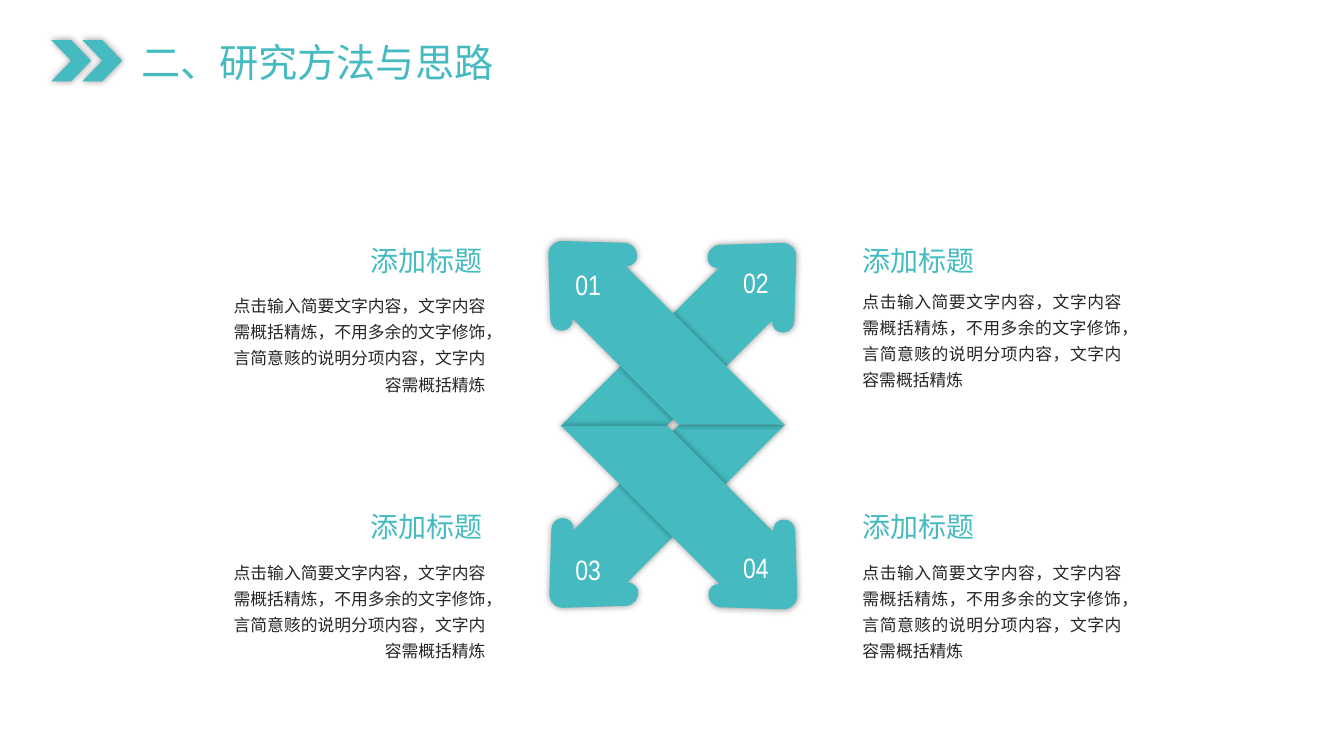
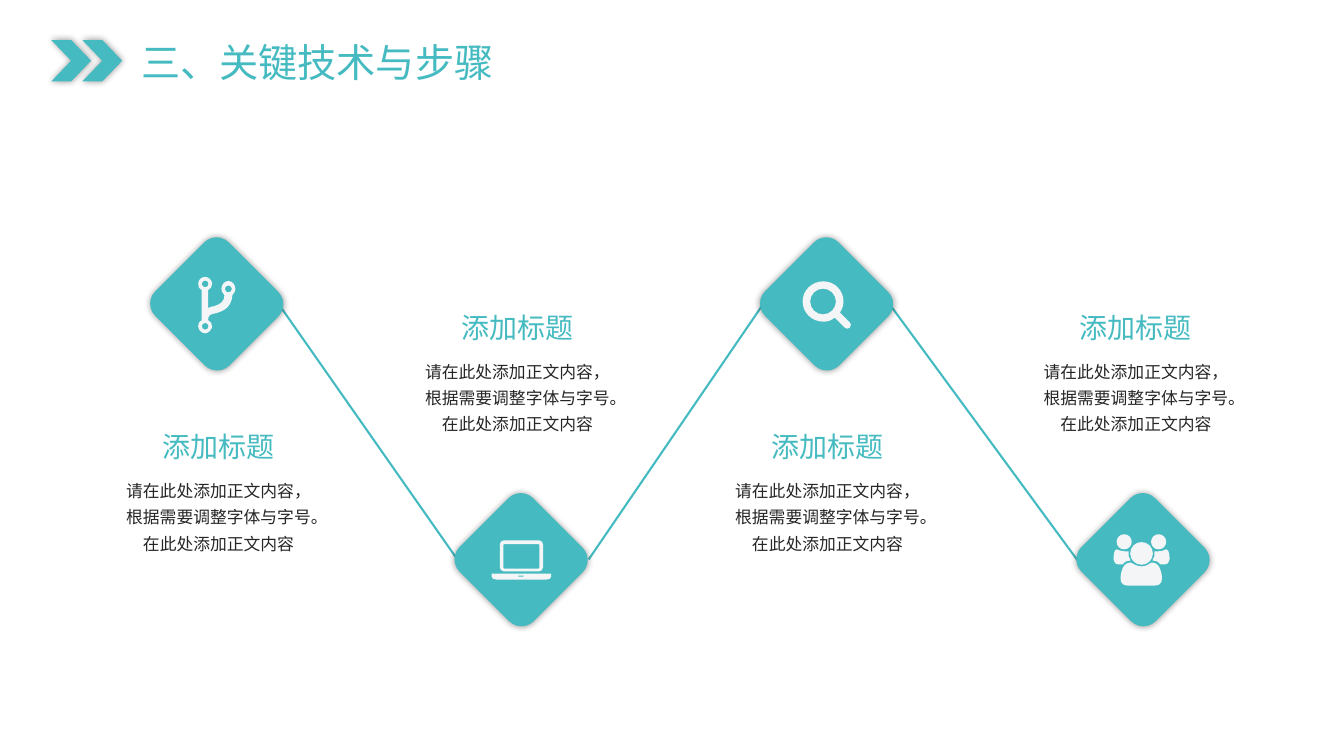
"""Build two slides on research methods and key steps."""

import math
from dataclasses import dataclass

import lxml.etree
import pptx
import pptx.dml.color
import pptx.enum.shapes
import pptx.enum.text
import pptx.oxml.ns
import pptx.presentation
import pptx.shapes.autoshape
import pptx.slide
import pptx.text.text
import pptx.util

Pt = pptx.util.Pt
RGBColor = pptx.dml.color.RGBColor
Preset = pptx.enum.shapes.MSO_SHAPE
Align = pptx.enum.text.PP_ALIGN
AutoSize = pptx.enum.text.MSO_AUTO_SIZE
Slide = pptx.slide.Slide
Point = tuple[float, float]
Segment = tuple[str, list[Point]]
qn = pptx.oxml.ns.qn

TEAL = RGBColor(0x45, 0xBB, 0xC1)
INK = RGBColor(0x26, 0x26, 0x26)
WHITE = RGBColor(0xFF, 0xFF, 0xFF)
ICON = RGBColor(0xF4, 0xF5, 0xF7)

HEADING_FONT = "Noto Sans CJK JP"
BODY_FONT = "Noto Sans CJK SC"
NUMBER_FONT = "Arial Narrow"

HEADING = "添加标题"
METHOD_BODY = "点击输入简要文字内容，文字内容需概括精炼，不用多余的文字修饰，言简意赅的说明分项内容，文字内容需概括精炼"
STEP_BODY = "请在此处添加正文内容，根据需要调整字体与字号。在此处添加正文内容"

ARC_RATIO = 0.55
VALUE_COUNTS = {"M": 2, "L": 2, "C": 6, "O": 3, "R": 5}

ARROW = (
    "M 9.4 0 L 54 1.4 L 55.4 1.4 C 59.8 2.2 63.4 5.8 63.4 10.1 "
    "C 64.1 14.4 60.5 18 56.2 18 L 55.4 18 L 168.5 131 L 92.9 131 "
    "L 17.3 55.4 L 17.3 56.2 C 17.3 60.5 14.4 64.1 9.4 64.1 "
    "C 5 64.1 1.4 60.5 1.4 55.4 L 1.4 54 L 0 10.1 "
    "C 0 7.2 0.7 5 2.9 2.9 C 4.3 1.4 7.2 0 9.4 0"
)
BRANCH = (
    "M 24.5 13 C 23.8 22.3 17.3 24.5 13 25.9 C 8.6 26.6 7.2 27.4 7.2 30.2 "
    "L 7.2 31 C 8.6 31.7 10 33.1 10 35.3 C 10 37.5 7.2 40.3 5 40.3 "
    "C 2.2 40.3 0 37.5 0 35.3 C 0 33.1 0.7 31.7 2.5 31 L 2.5 9.4 "
    "C 0.7 8.6 0 7.2 0 5 C 0 2.2 2.2 0 5 0 C 7.2 0 10 2.2 10 5 "
    "C 10 7.2 8.6 8.6 7.2 9.4 L 7.2 22.3 C 8.6 21.6 10 20.9 11.5 20.9 "
    "C 15.8 19.4 18.7 18 18.7 13 C 17.3 11.5 16.6 10.1 16.6 8.6 "
    "C 16.6 5.8 18.7 2.9 21.6 2.9 C 24.5 2.9 26.6 5.8 26.6 8.6 "
    "C 26.6 10.1 25.9 11.5 24.5 13 O 5 5 2.4 O 5 35.3 2.4 O 21.6 8.6 2.5"
)
LAPTOP = (
    "M 42.5 23.8 L 42.5 25.9 C 42.5 27.4 41 28.1 38.9 28.1 L 3.6 28.1 "
    "C 1.4 28.1 0 27.4 0 25.9 L 0 23.8 "
    "R 5.8 0 30.9 22.3 3 R 8.3 2.7 25.8 17.5 0.6 R 18.7 25.2 4.3 0.7 0.3"
)
MAGNIFIER = (
    "M 31.7 33.8 C 31 33.8 30.6 33.6 30.2 33.1 L 23 25.9 "
    "C 20.2 28.1 18 28.8 14.8 28.8 C 6.5 28.8 0 22.3 0 14.4 "
    "C 0 6.5 6.5 0 14.8 0 C 23 0 29.2 6.5 29.2 14.4 "
    "C 29.2 17.3 28.1 20.2 26.6 22.3 L 33.8 29.5 "
    "C 34.3 30 34.5 30.5 34.5 31 C 34.5 33.1 33.1 33.8 31.7 33.8 O 14.6 14.4 9.2"
)
TEAM = (
    "M 6.5 21.6 L 4.3 21.6 C 1.4 21.6 0 20.2 0 18 C 0 16.6 0 10.8 2.2 10.8 "
    "C 2.9 10.8 5 12.2 7.9 12.2 L 10.8 12.2 C 10.6 15.1 10.8 17.3 12.2 18.7 "
    "C 10.1 18.7 7.9 19.4 6.5 21.6 "
    "M 33.5 21.6 L 35.7 21.6 C 38.6 21.6 40 20.2 40 18 C 40 16.6 40 10.8 37.8 10.8 "
    "C 37.1 10.8 35 12.2 32.1 12.2 L 29.2 12.2 C 29.4 15.1 29.2 17.3 27.8 18.7 "
    "C 29.9 18.7 32.1 19.4 33.5 21.6 "
    "M 28.8 36.7 L 10.8 36.7 C 7.2 36.7 5 35.3 5 31.7 C 5 27.4 6.5 20.2 12.2 20.2 "
    "C 13 20.2 15.8 23 20 23 C 23.8 23 26.6 20.2 27.4 20.2 "
    "C 33.1 20.2 34.6 27.4 34.6 31.7 C 34.6 35.3 32.4 36.7 28.8 36.7 "
    "O 7.6 5.4 5.4 O 20 13.7 8.1 O 32.2 5.4 5.4"
)


@dataclass(frozen=True)
class TextStyle:
    """Look of one kind of paragraph."""

    font: str
    size: float
    color: RGBColor
    align: Align = Align.LEFT
    line_spacing: float | None = None
    space_after: float = 0


@dataclass(frozen=True)
class Arrow:
    """Numbered arrow placed by its outer corner."""

    number: str
    corner: Point
    flip: Point
    number_at: Point


@dataclass(frozen=True)
class Method:
    """Heading and description beside the arrows."""

    heading_at: Point
    body_at: Point
    align: Align


@dataclass(frozen=True)
class Step:
    """Diamond with an icon, a heading and a description."""

    diamond_at: Point
    icon: str
    icon_offset: Point
    heading_at: Point


TITLE_STYLE = TextStyle(HEADING_FONT, 28, TEAL)
HEADING_STYLE = TextStyle(HEADING_FONT, 20, TEAL)
STEP_HEADING_STYLE = TextStyle(HEADING_FONT, 20, TEAL, Align.CENTER)
STEP_BODY_STYLE = TextStyle(BODY_FONT, 12, INK, Align.CENTER, 1.3)
NUMBER_STYLE = TextStyle(NUMBER_FONT, 20, WHITE)

ARROWS = (
    Arrow("02", (568.8, 173.5), (-1, 1), (523.8, 185.8)),
    Arrow("03", (392.4, 434.2), (1, -1), (403.9, 391)),
    Arrow("01", (391.7, 172.1), (1, 1), (403.9, 187.5)),
    Arrow("04", (569.5, 435.2), (-1, -1), (523.8, 389.5)),
)
METHODS = (
    Method((257.8, 170.6), (154.6, 203.4), Align.RIGHT),
    Method((257.8, 360.7), (154.6, 394), Align.RIGHT),
    Method((609, 170.6), (609, 200.2), Align.JUSTIFY),
    Method((609, 360.7), (609, 394), Align.JUSTIFY),
)
STEPS = (
    Step((117.4, 180), BRANCH, (24.2, 17.8), (105, 303.3)),
    Step((334.8, 362.7), LAPTOP, (16.4, 23.2), (318.5, 218.2)),
    Step((553, 180), MAGNIFIER, (20.3, 21), (540, 303.3)),
    Step((779, 362.7), TEAM, (16.4, 18.9), (760.3, 218.2)),
)
LINKS = (
    ((198.7, 216.7), (326.2, 398.9)),
    ((635, 216.7), (769.7, 400.3)),
    ((545, 217.4), (420.5, 399.6)),
)


def rounded(left: float, top: float, width: float, height: float, radius: float) -> list[Segment]:
    """Return the outline of a rounded rectangle, or of a circle."""
    segments: list[Segment] = []
    bend = radius * ARC_RATIO
    inner_x, inner_y = width / 2 - radius, height / 2 - radius
    for ux, uy in ((1, 0), (0, 1), (-1, 0), (0, -1)):
        vx, vy = -uy, ux
        x = left + width / 2 + (ux + vx) * inner_x
        y = top + height / 2 + (uy + vy) * inner_y
        reach = ((radius, 0), (radius, bend), (bend, radius), (0, radius))
        start, *controls = [(x + a * ux + b * vx, y + a * uy + b * vy) for a, b in reach]
        if not segments:
            segments.append(("M", [start]))
        elif inner_x or inner_y:
            segments.append(("L", [start]))
        segments.append(("C", controls))
    return segments


def trace(path: str) -> list[Segment]:
    """Turn move, line, curve, circle and rounded box commands into segments."""
    tokens = iter(path.split())
    segments: list[Segment] = []
    for command in tokens:
        values = [float(next(tokens)) for _ in range(VALUE_COUNTS[command])]
        if command == "O":
            x, y, radius = values
            segments += rounded(x - radius, y - radius, 2 * radius, 2 * radius, radius)
        elif command == "R":
            segments += rounded(*values)
        else:
            segments.append((command, list(zip(values[::2], values[1::2]))))
    return segments


def turn(point: Point, degrees: float) -> Point:
    """Rotate a point clockwise about the slide corner."""
    cosine, sine = math.cos(math.radians(degrees)), math.sin(math.radians(degrees))
    return point[0] * cosine - point[1] * sine, point[0] * sine + point[1] * cosine


def paint(shape: pptx.shapes.autoshape.Shape, color: RGBColor, glow: bool = False) -> None:
    """Fill a shape, drop its line and give it a soft shadow if asked."""
    shape.fill.solid()
    shape.fill.fore_color.rgb = color
    shape.line.fill.background()
    shape.shadow.inherit = False
    if glow:
        effects = shape._element.spPr.find(qn("a:effectLst"))
        shadow = lxml.etree.SubElement(effects, qn("a:outerShdw"), blurRad=str(Pt(5)), algn="ctr", rotWithShape="0")
        black = lxml.etree.SubElement(shadow, qn("a:srgbClr"), val="000000")
        lxml.etree.SubElement(black, qn("a:alpha"), val="40000")


def bend_lines(shape: pptx.shapes.autoshape.Shape, segments: list[Segment]) -> None:
    """Merge the lines that stand for control points into cubic curves."""
    outline = shape._element.spPr.find(".//" + qn("a:path"))
    lines = iter(outline.findall(qn("a:lnTo")))
    for command, points in segments:
        if command == "M":
            continue
        first, *others = [next(lines) for _ in points]
        for other in others:
            first.append(other[0])
            outline.remove(other)
        if command == "C":
            first.tag = qn("a:cubicBezTo")


def draw_outline(slide: Slide, path: str, origin: Point, color: RGBColor,
                 flip: Point = (1, 1), rotation: float = 0, glow: bool = False) -> None:
    """Draw a path as one freeform, kept upright and then rotated."""
    segments = trace(path)
    builder = None
    for command, points in segments:
        placed = [turn((origin[0] + flip[0] * x, origin[1] + flip[1] * y), -rotation) for x, y in points]
        vertices = [(Pt(x), Pt(y)) for x, y in placed]
        if command != "M":
            builder.add_line_segments(vertices, close=False)
        elif builder is None:
            builder = slide.shapes.build_freeform(*vertices[0])
        else:
            builder.add_line_segments([], close=True)
            builder.move_to(*vertices[0])
    builder.add_line_segments([], close=True)
    shape = builder.convert_to_shape()
    bend_lines(shape, segments)
    x, y = turn((shape.left + shape.width / 2, shape.top + shape.height / 2), rotation)
    shape.left, shape.top = round(x - shape.width / 2), round(y - shape.height / 2)
    shape.rotation = rotation
    paint(shape, color, glow)


def write(frame: pptx.text.text.TextFrame, text: str, style: TextStyle) -> None:
    """Put one styled paragraph in a text frame."""
    frame.text = text
    frame.auto_size = AutoSize.SHAPE_TO_FIT_TEXT
    frame.vertical_anchor = pptx.enum.text.MSO_ANCHOR.TOP
    paragraph = frame.paragraphs[0]
    paragraph.alignment = style.align
    paragraph.line_spacing = style.line_spacing
    paragraph.space_after = Pt(style.space_after)
    paragraph.font.size = Pt(style.size)
    paragraph.font.name = style.font
    paragraph.font.color.rgb = style.color
    defaults = paragraph._p.pPr.find(qn("a:defRPr"))
    lxml.etree.SubElement(defaults, qn("a:ea"), typeface=style.font)


def add_text(slide: Slide, text: str, at: Point, size: Point, style: TextStyle) -> None:
    """Add a wrapping text box."""
    frame = slide.shapes.add_textbox(*map(Pt, (*at, *size))).text_frame
    frame.word_wrap = True
    write(frame, text, style)


def add_titled_slide(deck: pptx.presentation.Presentation, title: str) -> Slide:
    """Add a slide with the double chevron and its title."""
    slide = deck.slides.add_slide(deck.slide_layouts[5])
    for left in (36.6, 58.8):
        paint(slide.shapes.add_shape(Preset.CHEVRON, Pt(left), Pt(28.6), Pt(28.5), Pt(29.6)), TEAL, glow=True)
    heading = slide.shapes.title
    heading.left, heading.top, heading.width, heading.height = map(Pt, (93.6, 23.8, 269.3, 41))
    heading.text_frame.word_wrap = False
    write(heading.text_frame, title, TITLE_STYLE)
    return slide


def add_link(slide: Slide, start: Point, end: Point) -> None:
    """Draw a line between two steps."""
    link = slide.shapes.add_connector(pptx.enum.shapes.MSO_CONNECTOR.STRAIGHT, *map(Pt, (*start, *end)))
    link.line.color.rgb = TEAL
    link.line.width = Pt(1.5)
    lxml.etree.SubElement(link._element.spPr, qn("a:effectLst"))


def add_diamond(slide: Slide, step: Step) -> None:
    """Draw the diamond and icon of one step."""
    left, top = step.diamond_at
    diamond = slide.shapes.add_shape(Preset.ROUNDED_RECTANGLE, Pt(left), Pt(top), Pt(74.9), Pt(74.2))
    diamond.rotation = 45
    paint(diamond, TEAL, glow=True)
    draw_outline(slide, step.icon, (left + step.icon_offset[0], top + step.icon_offset[1]), ICON)


def main() -> None:
    """Build and save the deck."""
    deck = pptx.Presentation()
    deck.slide_width, deck.slide_height = Pt(960), Pt(540)

    methods = add_titled_slide(deck, "二、研究方法与思路")
    for method in METHODS:
        add_text(methods, HEADING, method.heading_at, (99, 31.7), HEADING_STYLE)
        body_style = TextStyle(BODY_FONT, 12, INK, method.align, 1.3, 6)
        add_text(methods, METHOD_BODY, method.body_at, (199.4, 82.8), body_style)
    for arrow in ARROWS:
        rotation = -45 * arrow.flip[0] * arrow.flip[1]
        draw_outline(methods, ARROW, arrow.corner, TEAL, arrow.flip, rotation, glow=True)
    for arrow in sorted(ARROWS, key=lambda item: item.number):
        add_text(methods, arrow.number, arrow.number_at, (41, 31.7), NUMBER_STYLE)

    steps = add_titled_slide(deck, "三、关键技术与步骤")
    for step in STEPS:
        x, y = step.heading_at
        add_text(steps, HEADING, (x, y), (102.2, 31.7), STEP_HEADING_STYLE)
        add_text(steps, STEP_BODY, (x - 26.6, y + 32.4), (155.5, 64), STEP_BODY_STYLE)
    for start, end in LINKS:
        add_link(steps, start, end)
    for step in STEPS:
        add_diamond(steps, step)

    deck.save("out.pptx")


if __name__ == "__main__":
    main()
